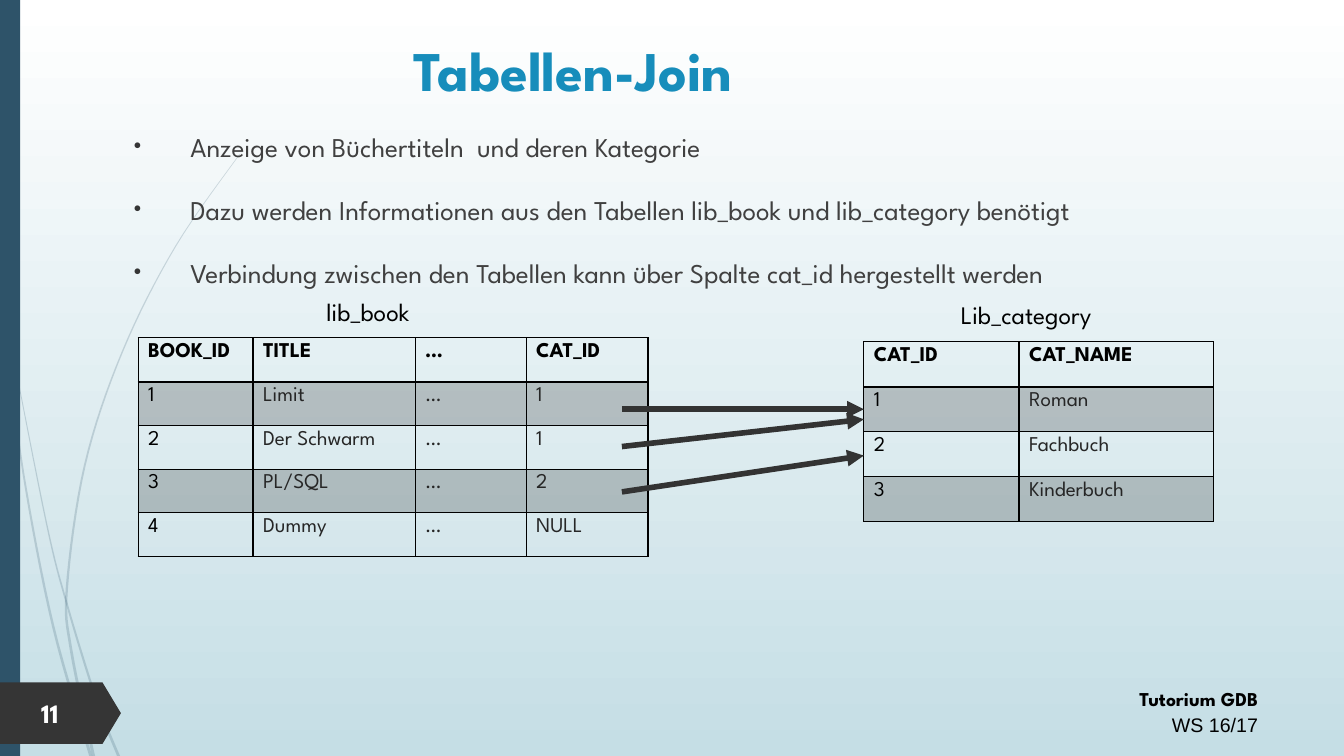
"""Build the slide on joining the book and category tables."""
import pptx
import pptx.util
import pptx.dml.color
import pptx.enum.shapes
import pptx.enum.text
import pptx.oxml.ns
from lxml import etree

Pt = pptx.util.Pt
qn = pptx.oxml.ns.qn
ALIGN = pptx.enum.text.PP_ALIGN
ANCHOR = pptx.enum.text.MSO_ANCHOR
KIND = pptx.enum.shapes.MSO_SHAPE
FONT = "League Spartan"
COLORS = {"white": "FFFFFF", "sky": "C5DEE5", "navy": "2E5369", "tag": "353535",
          "title": "178DBB", "body": "404040", "cell": "262626", "black": "000000",
          "arrow": "333333"}

SWIRLS = [
    [(0, 209), (6, 254), (16, 338), (37, 447), (64, 541)],
    [(8, 248), (33, 375), (47, 431), (68, 500), (84, 541)],
    [(171, 110), (125, 176), (87, 251), (60, 332), (47, 420), (50, 465), (66, 541)],
]
BULLETS = ["Anzeige von Büchertiteln  und deren Kategorie",
           "Dazu werden Informationen aus den Tabellen lib_book und lib_category benötigt",
           "Verbindung zwischen den Tabellen kann über Spalte cat_id hergestellt werden"]
LABELS = [
    ((86.4, 18.72, 645.84, 58.32), ALIGN.CENTER, [("Tabellen-Join", 40, "title", True)]),
    ((161.28, 208.08, 203.04, 28.8), ALIGN.CENTER, [("lib_book", 18, "black")]),
    ((631.44, 210.24, 203.04, 28.8), ALIGN.CENTER, [("Lib_category", 18, "black")]),
    ((22.32, 493.92, 50.4, 30.24), ALIGN.LEFT, [("11", 19, "white", True)]),
    ((531.36, 483.84, 374.4, 46.08), ALIGN.RIGHT,
     [("Tutorium GDB", 14, "black", True), ("WS 16/17", 14, "black", False, "Arial")]),
]
TABLES = [
    ((98.64, 241.2), [82.08, 115.92, 79.2, 87.12], 31.68, 31.14,
     [("BOOK_ID", "TITLE", "…", "CAT_ID"), ("1", "Limit", "…", "1"),
      ("2", "Der Schwarm", "…", "1"), ("3", "PL/SQL", "…", "2"),
      ("4", "Dummy", "…", "NULL")]),
    ((617.04, 244.08), [110.88, 138.96], 32.4, 31.92,
     [("CAT_ID", "CAT_NAME"), ("1", "Roman"), ("2", "Fachbuch"), ("3", "Kinderbuch")]),
]
LINKS = [(292.32, 292.32), (318.96, 299.52), (351.36, 325.44)]
LINK_X = (444.24, 617.04)


def rgb(name):
    return pptx.dml.color.RGBColor.from_string(COLORS[name])


def paint(fill, name):
    fill.solid()
    fill.fore_color.rgb = rgb(name)


def fade(owner):
    for tint in owner.iter(qn("a:srgbClr")):
        etree.SubElement(tint, qn("a:alpha"), val="20000")


def write(para, text, size, color, bold=False, font=FONT):
    run = para.add_run()
    run.text = text
    run.font.size, run.font.bold, run.font.name = Pt(size), bold, font
    run.font.color.rgb = rgb(color)


def paras(box, anchor, items):
    """Add a text box and yield one paragraph for each item."""
    text = slide.shapes.add_textbox(*map(Pt, box)).text_frame
    text.word_wrap = True
    text.vertical_anchor = anchor
    for num, item in enumerate(items):
        yield (text.add_paragraph() if num else text.paragraphs[0]), item


def plain(shape, color):
    shape.shadow.inherit = False
    paint(shape.fill, color)
    shape.line.fill.background()
    return shape


def bend(knots, steps=8):
    """Return points on a smooth curve through the knots."""
    chain = [knots[0]] + knots + [knots[-1]]
    dots = []
    for a, b, c, d in zip(chain, chain[1:], chain[2:], chain[3:]):
        for step in range(steps):
            t = step / steps
            dots.append([p1 + t * (p2 - p0) / 2
                         + t * t * (2 * p0 - 5 * p1 + 4 * p2 - p3) / 2
                         + t**3 * (3 * p1 - p0 - 3 * p2 + p3) / 2
                         for p0, p1, p2, p3 in zip(a, b, c, d)])
    return dots + [knots[-1]]


def swirl(knots):
    left = bend(knots)
    last = len(left) - 1
    right = [(x + 0.5 + 1.7 * num / last, y) for num, (x, y) in enumerate(left)]
    ends = [(Pt(x), Pt(y)) for x, y in left + right[::-1]]
    pen = slide.shapes.build_freeform(*ends[0])
    pen.add_line_segments(ends[1:], close=True)
    fade(plain(pen.convert_to_shape(), "navy")._element.spPr)


def edge(cell, head):
    props = cell._tc.get_or_add_tcPr()
    for num, side in enumerate("LRTB"):
        width = 2 if head and side == "B" else 1
        line = etree.Element(qn("a:ln" + side), w=str(Pt(width)))
        solid = etree.SubElement(line, qn("a:solidFill"))
        etree.SubElement(solid, qn("a:srgbClr"), val=COLORS["black"])
        props.insert(num, line)


def grid(spot, cols, head, high, rows):
    size = (sum(cols), head + high * (len(rows) - 1))
    table = slide.shapes.add_table(len(rows), len(cols), *map(Pt, spot + size)).table
    table.first_row = table.horz_banding = False
    for col, width in zip(table.columns, cols):
        col.width = Pt(width)
    for r, row in enumerate(rows):
        table.rows[r].height = Pt(high if r else head)
        for c, word in enumerate(row):
            cell = table.cell(r, c)
            if r % 2:
                paint(cell.fill, "black")
                fade(cell._tc.get_or_add_tcPr())
            else:
                cell.fill.background()
            edge(cell, r == 0)
            write(cell.text_frame.paragraphs[0], word, 15,
                  "cell" if r and c else "black", r == 0)


def bullet(para):
    props = para._p.get_or_add_pPr()
    props.set("marL", str(Pt(42.48)))
    props.set("indent", str(-Pt(42.48)))
    tint = etree.SubElement(props, qn("a:buClr"))
    etree.SubElement(tint, qn("a:srgbClr"), val=COLORS["tag"])
    etree.SubElement(props, qn("a:buFont"), typeface=FONT)
    etree.SubElement(props, qn("a:buChar"), char="•")


def link(start, end):
    line = slide.shapes.add_connector(pptx.enum.shapes.MSO_CONNECTOR.STRAIGHT,
                                      Pt(LINK_X[0]), Pt(start), Pt(LINK_X[1]), Pt(end))
    line.line.width = Pt(4)
    line.line.color.rgb = rgb("arrow")
    etree.SubElement(line.line._get_or_add_ln(), qn("a:tailEnd"), type="triangle")
    etree.SubElement(line._element.spPr, qn("a:effectLst"))


deck = pptx.Presentation()
deck.slide_width, deck.slide_height = Pt(960), Pt(540)
slide = deck.slides.add_slide(deck.slide_layouts[6])
back = slide.background.fill
back.gradient()
back.gradient_angle = 270
for stop, name, place in zip(back.gradient_stops, ("white", "sky"), (0, 1)):
    stop.color.rgb, stop.position = rgb(name), place

for knots in SWIRLS:
    swirl(knots)
plain(slide.shapes.add_shape(KIND.RECTANGLE, 0, 0, Pt(14.4), Pt(540)), "navy")
tag = plain(slide.shapes.add_shape(KIND.PENTAGON, 0, Pt(487.44), Pt(86.4), Pt(43.92)), "tag")
tag.adjustments[0] = 0.3
for box, align, lines in LABELS:
    for para, words in paras(box, ANCHOR.BOTTOM, lines):
        para.alignment = align
        para.line_spacing = 1.14 if len(lines) > 1 else 1
        write(para, *words)
for para, words in paras((86.4, 84.96, 819.36, 159.12), ANCHOR.TOP, BULLETS):
    para.line_spacing, para.space_before, para.space_after = 1.2, Pt(10), Pt(7.2)
    bullet(para)
    write(para, words, 19.4, "body")
for table in TABLES:
    grid(*table)
for ends in LINKS:
    link(*ends)
deck.save("out.pptx")
